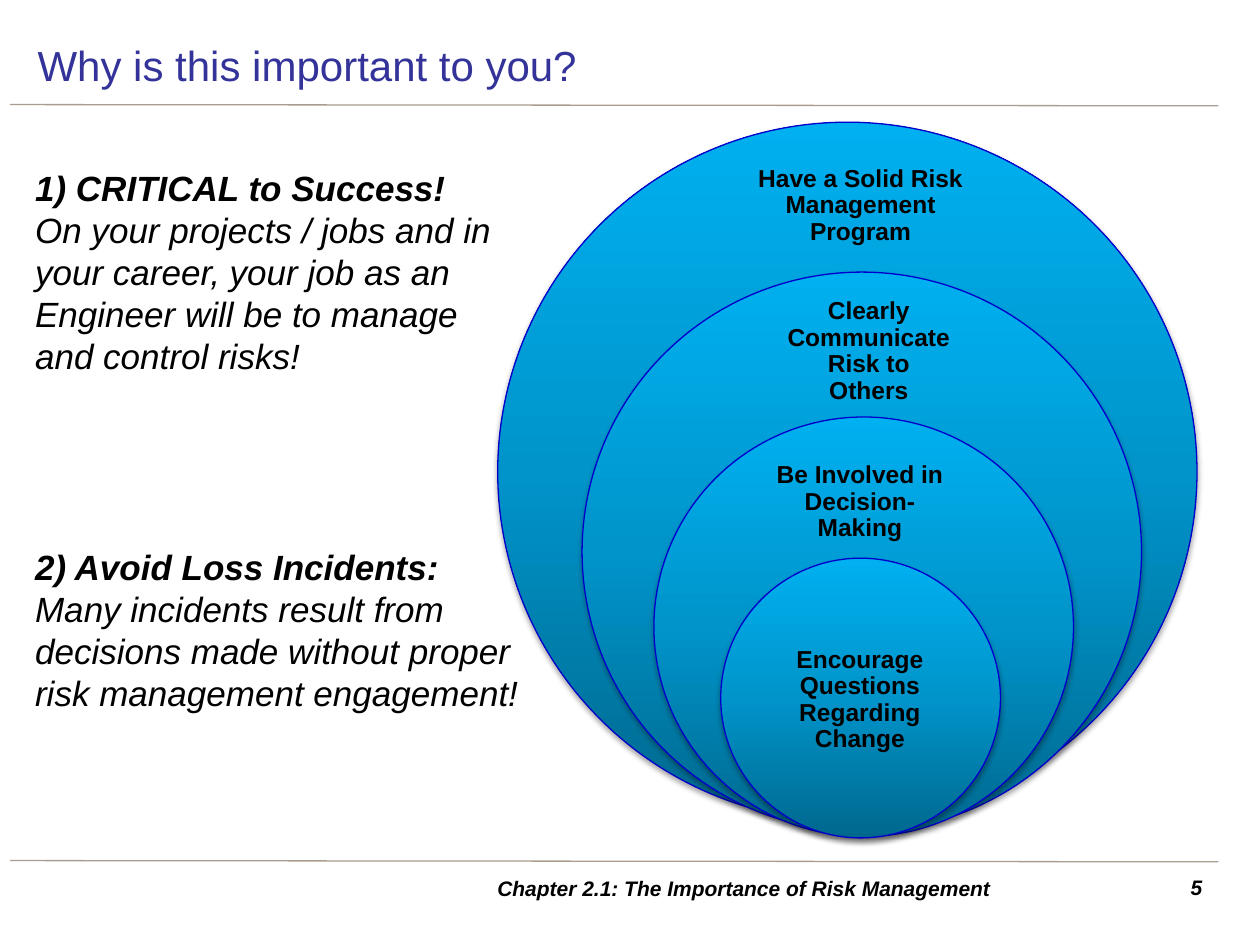
from copy import deepcopy
from dataclasses import dataclass

from lxml import etree
from pptx import Presentation
from pptx.dml.color import RGBColor
from pptx.enum import shapes, text
from pptx.oxml import ns
from pptx.util import Inches, Pt


@dataclass(frozen=True)
class Theme:
    font: str = "Arial"
    title: str = "333399"
    ink: str = "000000"
    rule: str = "AA9C8F"
    outline: str = "0000CC"
    gradient: tuple = ((0, "00688E"), (0.5, "0094CA"), (1, "00B0F0"))
    title_size: int = 24
    body_size: int = 20
    circle_size: int = 14
    footer_size: int = 12
    line_width: float = 0.75


THEME = Theme()
OUTER_DIAMETER = 5.55
# Circle left and top, then label box and label
CIRCLES = [
    (3.95, 0.97, (5.89, 1.22, 1.88, 0.83), "Have a Solid Risk Management Program"),
    (4.62, 2.16, (6.12, 2.39, 1.55, 0.8), "Clearly Communicate Risk to Others"),
    (5.19, 3.31, (6.05, 3.61, 1.55, 0.75), "Be Involved in Decision-Making"),
    (5.72, 4.43, (6.04, 5, 1.57, 1.11), "Encourage Questions Regarding Change"),
]
REASONS = [
    ((0.18, 1.27, 4.29, 1.78), "1) CRITICAL to Success!",
     "On your projects / jobs and in your career, your job as an "
     "Engineer will be to manage\vand control risks!"),
    ((0.18, 4.28, 4.31, 1.45), "2) Avoid Loss Incidents:",
     "Many incidents result from decisions made without proper "
     "risk management engagement!"),
]


def add_text(container, box, lines, size, color=THEME.ink, bold=False, italic=False,
             align=text.PP_ALIGN.LEFT, anchor=text.MSO_ANCHOR.MIDDLE):
    """Add a wrapping text box with one paragraph per line and return its frame."""
    frame = container.shapes.add_textbox(*map(Inches, box)).text_frame
    frame.word_wrap = True
    frame.vertical_anchor = anchor
    for index, line in enumerate(lines):
        paragraph = frame.add_paragraph() if index else frame.paragraphs[0]
        paragraph.text = line
        paragraph.alignment = align
        font = paragraph.font
        font.name, font.size = THEME.font, Pt(size)
        font.bold, font.italic = bold, italic
        font.color.rgb = RGBColor.from_string(color)
    return frame


def add_rule(slide, top):
    line = slide.shapes.add_connector(
        shapes.MSO_CONNECTOR.STRAIGHT,
        Inches(0.08), Inches(top), Inches(9.67), Inches(top + 0.01))
    line.line.color.rgb = RGBColor.from_string(THEME.rule)
    line.line.width = Pt(THEME.line_width)
    etree.SubElement(line._element.spPr, ns.qn("a:effectLst"))


def fill_gradient(shape):
    shape.fill.gradient()
    shape.fill.gradient_angle = 90
    stop_list = shape._element.spPr.find(".//" + ns.qn("a:gsLst"))
    stop_list.append(deepcopy(stop_list[0]))
    for stop, (position, color) in zip(shape.fill.gradient_stops, THEME.gradient):
        stop.position = position
        stop.color.rgb = RGBColor.from_string(color)


def add_shadow(shape):
    """Give the shape a soft shadow straight below it."""
    shape.shadow.inherit = False
    effects = shape._element.spPr.find(ns.qn("a:effectLst"))
    shadow = etree.SubElement(
        effects, ns.qn("a:outerShdw"), blurRad=str(Pt(3.1)), dist=str(Pt(1.8)),
        dir="5400000", rotWithShape="0")
    color = etree.SubElement(shadow, ns.qn("a:srgbClr"), val=THEME.ink)
    etree.SubElement(color, ns.qn("a:alpha"), val="35000")


def add_circle(group, left, top, diameter):
    circle = group.shapes.add_shape(
        shapes.MSO_SHAPE.OVAL, *map(Inches, (left, top, diameter, diameter)))
    fill_gradient(circle)
    circle.line.color.rgb = RGBColor.from_string(THEME.outline)
    circle.line.width = Pt(THEME.line_width)
    add_shadow(circle)


def add_circle_label(group, box, label):
    frame = add_text(group, box, [label], THEME.circle_size, bold=True,
                     align=text.PP_ALIGN.CENTER)
    frame.margin_left = frame.margin_right = Inches(0.11)
    frame.margin_top = frame.margin_bottom = Inches(0.11)
    frame.paragraphs[0].line_spacing = 0.9


def add_nested_circles(slide):
    group = slide.shapes.add_group_shape()
    for index, (left, top, label_box, label) in enumerate(CIRCLES):
        add_circle(group, left, top, OUTER_DIAMETER * (1 - 0.2 * index))
        add_circle_label(group, label_box, label)


def add_reason(slide, box, heading, body):
    frame = add_text(slide, box, [heading, body], THEME.body_size, italic=True,
                     anchor=text.MSO_ANCHOR.TOP)
    frame.paragraphs[0].font.bold = True
    frame.auto_size = text.MSO_AUTO_SIZE.SHAPE_TO_FIT_TEXT


def add_footer(slide):
    add_text(slide, (9.06, 6.89, 0.58, 0.31), ["5"], THEME.footer_size, bold=True,
             italic=True, align=text.PP_ALIGN.RIGHT, anchor=text.MSO_ANCHOR.TOP)
    add_text(slide, (2.95, 6.89, 5.91, 0.31),
             ["Chapter 2.1: The Importance of Risk Management"], THEME.footer_size,
             bold=True, italic=True, align=text.PP_ALIGN.CENTER)


def main():
    presentation = Presentation()
    presentation.slide_width, presentation.slide_height = Inches(10), Inches(7.5)
    slide = presentation.slides.add_slide(presentation.slide_layouts[6])
    for top in (0.83, 6.83):
        add_rule(slide, top)
    add_text(slide, (0.2, 0.24, 9.45, 0.55), ["Why is this important to you?"],
             THEME.title_size, THEME.title)
    add_footer(slide)
    add_nested_circles(slide)
    for reason in REASONS:
        add_reason(slide, *reason)
    presentation.save("out.pptx")


if __name__ == "__main__":
    main()
